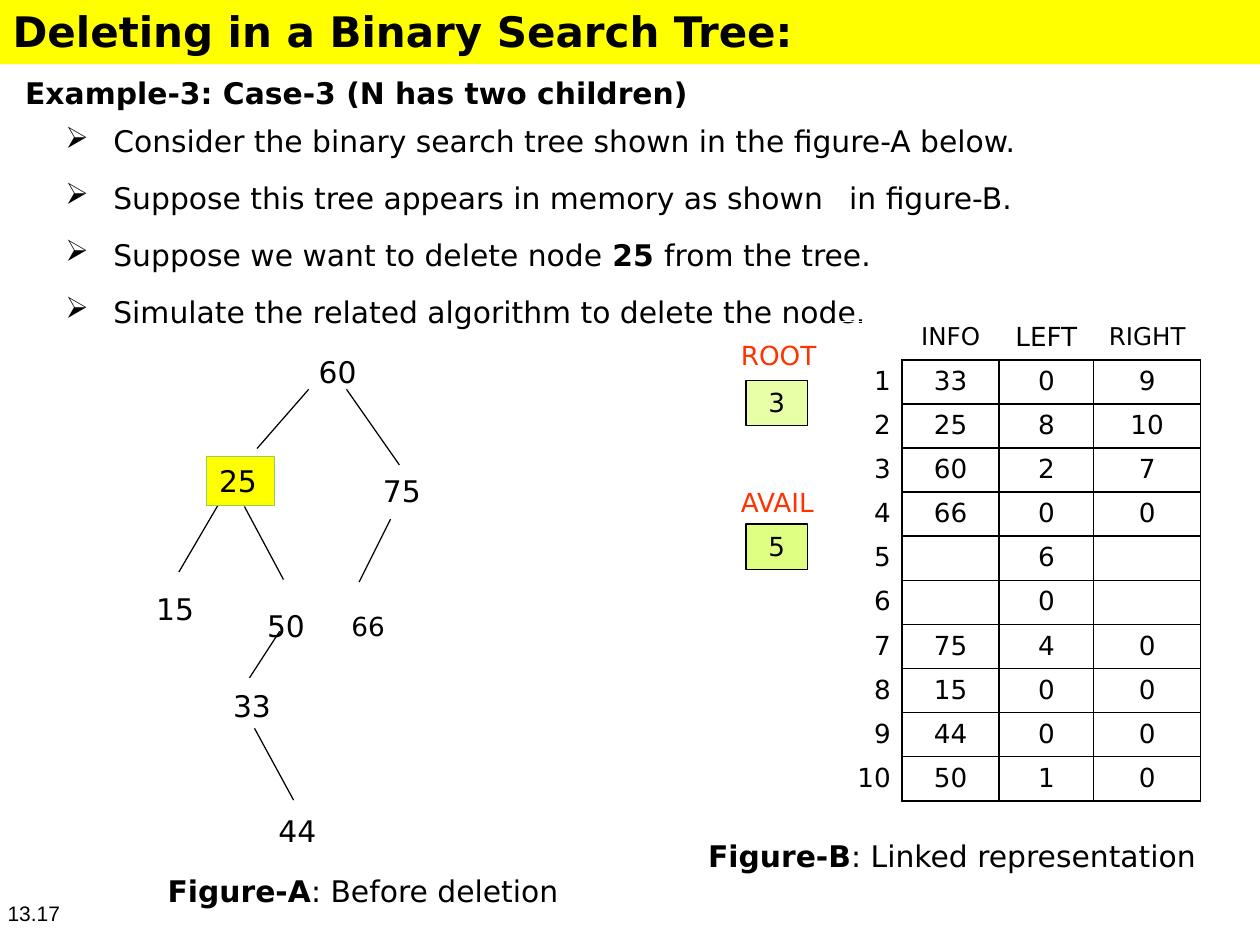
import pptx
import pptx.dml.color
import pptx.enum.shapes
import pptx.enum.text
import pptx.oxml
import pptx.oxml.ns
import pptx.util
from pptx.util import Inches

ALIGN = pptx.enum.text.PP_ALIGN
SANS = "DejaVu Sans"

BULLETS = [
    [("Consider the binary search tree shown in the figure-A below.", False)],
    [("Suppose this tree appears in memory as shown\tin figure-B.", False)],
    [("Suppose we want to delete node ", False), ("25 ", True), ("from the tree.", False)],
    [("Simulate the related algorithm to delete the node.", False)],
]
HEADERS = [("INFO", 14), ("LEFT", 15), ("RIGHT", 14)]
RECORDS = [
    ("33", "0", "9"), ("25", "8", "10"), ("60", "2", "7"), ("66", "0", "0"),
    ("", "6", ""), ("", "0", ""), ("75", "4", "0"), ("15", "0", "0"),
    ("44", "0", "0"), ("50", "1", "0"),
]
NODES = [
    ("60", 1.32, 0, 17), ("75", 1.83, 0.94, 17), ("15", 0.03, 1.88, 17),
    ("50", 0.91, 2.01, 17), ("66", 1.58, 2.03, 15), ("33", 0.64, 2.65, 17),
    ("44", 1, 3.64, 17),
]
EDGES = [
    (1.25, 0.29, 0.84, 0.76), (1.55, 0.29, 1.97, 0.89), (0.53, 1.21, 0.22, 1.74),
    (1.9, 1.32, 1.65, 1.82), (0.74, 1.22, 1.05, 1.8), (1.02, 2.21, 0.78, 2.58),
    (0.82, 2.98, 1.13, 3.55),
]


def rgb(value):
    """Return the colour for a hex string."""
    return pptx.dml.color.RGBColor.from_string(value)


def add_xml(parent, xml):
    """Append a DrawingML element to a parent."""
    parent.append(pptx.oxml.parse_xml(xml.replace(" ", f' {pptx.oxml.ns.nsdecls("a")} ', 1)))


def set_attrs(obj, values):
    """Set attributes of an object from a dict."""
    for name, value in values.items():
        setattr(obj, name, value)


def write(p, runs, size=17, color="000000", font=SANS, align=ALIGN.LEFT):
    """Write (text, bold) runs into a paragraph."""
    p.alignment = align
    for text, bold in runs:
        r = p.add_run()
        r.text = text
        set_attrs(r.font, {"name": font, "size": pptx.util.Pt(size), "bold": bold})
        r.font.color.rgb = rgb(color)


def frame(sp, left=0.01, top=0.01):
    """Set wrapping, anchor and insets of a shape and return its first paragraph."""
    tf = sp.text_frame
    set_attrs(tf, {
        "word_wrap": True, "auto_size": pptx.enum.text.MSO_AUTO_SIZE.NONE,
        "vertical_anchor": pptx.enum.text.MSO_ANCHOR.TOP,
        "margin_left": Inches(left), "margin_top": Inches(top),
        "margin_right": 0, "margin_bottom": 0,
    })
    return tf.paragraphs[0]


def add_text(s, x, y, w, h, runs, **style):
    """Add a text box with one paragraph."""
    sp = s.shapes.add_textbox(Inches(x), Inches(y), Inches(w), Inches(h))
    write(frame(sp), runs, **style)
    return sp


def add_box(s, x, y, w, h, fill, line=None, text="", left=0, **style):
    """Add a filled rectangle with an optional outline and text."""
    sp = s.shapes.add_shape(pptx.enum.shapes.MSO_SHAPE.RECTANGLE,
                            Inches(x), Inches(y), Inches(w), Inches(h))
    sp.shadow.inherit = False
    sp.fill.solid()
    sp.fill.fore_color.rgb = rgb(fill)
    if line:
        sp.line.color.rgb = rgb(line)
        sp.line.width = pptx.util.Pt(0.72)
    else:
        sp.line.fill.background()
    if text:
        write(frame(sp, left, 0.05), [(text, False)], **style)
    return sp


def add_title(s, x, y, w, h):
    """Place the title on its full-width bar."""
    title = s.shapes.title
    bar = add_box(s, x, y, w, h, "FFFF00")
    title.element.addprevious(bar.element)
    set_attrs(title, {"left": Inches(x + 0.09), "top": Inches(y + 0.03),
                      "width": Inches(6.5), "height": Inches(0.43)})
    write(frame(title), [("Deleting in a Binary Search Tree:", True)], size=24)


def add_body(s, x, y, w, h):
    """Add the example heading and its bullets."""
    sp = add_text(s, x, y, w, h, [("Example-3: Case-3 (N has two children)", True)])
    sp.text_frame.margin_top = Inches(0.12)
    for i, runs in enumerate(BULLETS):
        p = sp.text_frame.add_paragraph()
        p.space_before = pptx.util.Pt(12 if i else 7.5)
        pPr = p._p.get_or_add_pPr()
        pPr.set("marL", str(Inches(0.7)))
        pPr.set("indent", str(Inches(-0.38)))
        add_xml(pPr, '<a:buChar char="➢"/>')
        add_xml(pPr, f'<a:tabLst ><a:tab pos="{Inches(6.54)}" algn="l"/></a:tabLst>')
        write(p, runs)


def add_tree(s, x, y):
    """Draw the search tree and its caption."""
    for x1, y1, x2, y2 in EDGES:
        c = s.shapes.add_connector(pptx.enum.shapes.MSO_CONNECTOR.STRAIGHT, Inches(x + x1),
                                   Inches(y + y1), Inches(x + x2), Inches(y + y2))
        c.line.color.rgb = rgb("000000")
        c.line.width = pptx.util.Pt(0.72)
        add_xml(c.element.spPr, "<a:effectLst />")
    add_box(s, x + 0.44, y + 0.82, 0.54, 0.39, "FFFF00", "92D050", "25", left=0.1)
    for text, dx, dy, size in NODES:
        add_text(s, x + dx, y + dy, 0.33, 0.31, [(text, False)], size=size)
    add_text(s, x + 0.12, y + 4.12, 3.2, 0.31,
             [("Figure-A", True), (": Before deletion", False)])


def add_pointer(s, x, y, label, value, fill, gap):
    """Add a red pointer label above its value box."""
    add_text(s, x, y, 0.64, 0.28, [(label, False)], size=15, color="FF3300")
    add_box(s, x + 0.05, y + gap, 0.49, 0.36, fill, "000000", value,
            size=15, align=ALIGN.CENTER)


def format_cell(cell, text, sides, size=15, align=ALIGN.CENTER, top=0.05, right=0):
    """Write a table cell and draw the borders named by sides."""
    set_attrs(cell, {"margin_left": 0, "margin_right": Inches(right), "margin_bottom": 0,
                     "margin_top": Inches(top if text else 0)})
    tcPr = cell._tc.get_or_add_tcPr()
    for side in sides:
        add_xml(tcPr, f'<a:ln{side} w="12700"><a:solidFill><a:srgbClr val="000000"/>'
                      f'</a:solidFill></a:ln{side}>')
    cell.fill.background()
    if text:
        write(cell.text_frame.paragraphs[0], [(text, False)], size, align=align)


def add_memory(s, x, y):
    """Add the linked representation table and its caption."""
    widths = [0.5, 0.77, 0.75, 0.85]
    table = s.shapes.add_table(len(RECORDS) + 1, len(widths), Inches(x), Inches(y),
                               Inches(sum(widths)), Inches(3.8)).table
    set_attrs(table, {"first_row": False, "horz_banding": False})
    for col, width in zip(table.columns, widths):
        col.width = Inches(width)
    for i, row in enumerate(table.rows):
        row.height = Inches(0.35 if i else 0.3)
    format_cell(table.cell(0, 0), "", "")
    for j, (text, size) in enumerate(HEADERS, 1):
        format_cell(table.cell(0, j), text, "B", size, top=0.01)
    for i, record in enumerate(RECORDS, 1):
        format_cell(table.cell(i, 0), str(i), "R", align=ALIGN.RIGHT, right=0.09)
        for j, text in enumerate(record, 1):
            format_cell(table.cell(i, j), text, "LRTB")
    add_text(s, x - 1.05, y + 4.09, 3.94, 0.31,
             [("Figure-B", True), (": Linked representation", False)])


def main():
    """Build the slide and save it."""
    prs = pptx.Presentation()
    prs.slide_width, prs.slide_height = Inches(10), Inches(7.5)
    s = prs.slides.add_slide(prs.slide_layouts[5])
    add_title(s, 0, 0, 10, 0.51)
    add_body(s, 0.19, 0.47, 8.2, 2.15)
    add_memory(s, 6.66, 2.55)
    add_pointer(s, 5.87, 2.68, "ROOT", "3", "E8FFA7", 0.34)
    add_pointer(s, 5.87, 3.85, "AVAIL", "5", "DFFF83", 0.31)
    add_tree(s, 1.2, 2.8)
    add_text(s, 0.05, 7.14, 0.48, 0.21, [("13.17", False)], size=12, font="Arial")
    prs.save("out.pptx")


if __name__ == "__main__":
    main()
